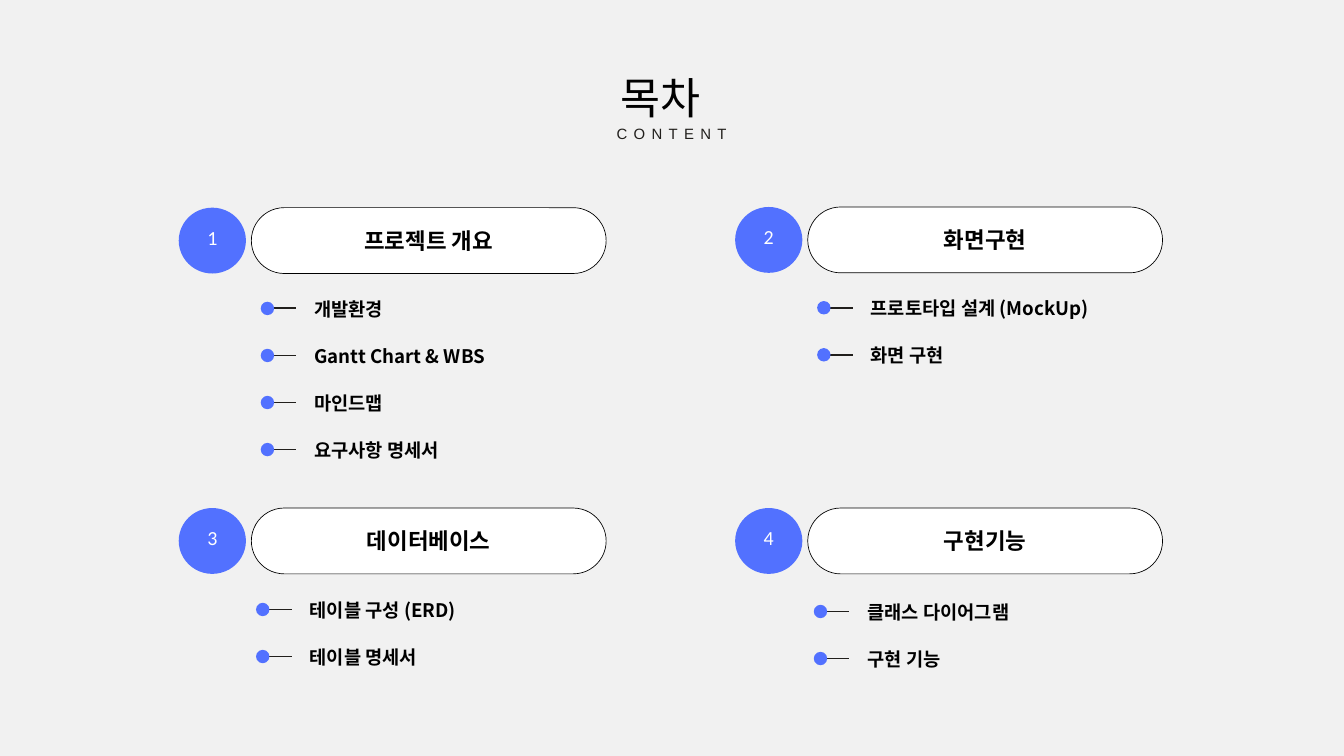
from lxml import etree
from pptx import Presentation
from pptx.dml.color import RGBColor
from pptx.enum.shapes import MSO_CONNECTOR as CONNECTOR, MSO_SHAPE as SHAPE
from pptx.enum.text import MSO_ANCHOR as ANCHOR, MSO_AUTO_SIZE as AUTO_SIZE, PP_ALIGN as ALIGN
from pptx.oxml.ns import qn
from pptx.util import Inches, Pt

COLORS = {
    "background": "F1F1F1",
    "accent": "5271FF",
    "white": "FFFFFF",
    "black": "000000",
    "ink": "211F1C",
}
KOREAN = "Noto Sans CJK KR"
ITEM_GAP = 0.7

# Number, heading, left, top, dot centre (x, first y), items
SECTIONS = [
    ("1", "프로젝트 개요", 2.66, 3.09, (3.98, 4.59),
     ["개발환경", "Gantt Chart & WBS", "마인드맵", "요구사항 명세서"]),
    ("2", "화면구현", 10.94, 3.08, (12.26, 4.58),
     ["프로토타입 설계 (MockUp)", "화면 구현"]),
    ("3", "데이터베이스", 2.66, 7.56, (3.91, 9.07),
     ["테이블 구성 (ERD)", "테이블 명세서"]),
    ("4", "구현기능", 10.94, 7.56, (12.21, 9.1),
     ["클래스 다이어그램", "구현 기능"]),
]


def rgb(name):
    return RGBColor.from_string(COLORS[name])


def write(shape, text, size, font=KOREAN, color="black", bold=False, align=ALIGN.LEFT,
          anchor=ANCHOR.MIDDLE, insets=(0.1, 0.05, 0.1, 0.05), line=None, tracking=None):
    """Put one formatted paragraph into a shape; insets are left, top, right, bottom."""
    frame = shape.text_frame
    frame.word_wrap = True
    frame.auto_size = AUTO_SIZE.NONE
    frame.vertical_anchor = anchor
    (frame.margin_left, frame.margin_top,
     frame.margin_right, frame.margin_bottom) = map(Inches, insets)
    paragraph = frame.paragraphs[0]
    paragraph.alignment = align
    if line:
        paragraph.line_spacing = Pt(line)
    run = paragraph.add_run()
    run.text = text
    run.font.size = Pt(size)
    run.font.bold = bold
    run.font.color.rgb = rgb(color)
    run.font.name = font
    properties = run.font._element
    etree.SubElement(properties, qn("a:ea")).set("typeface", font)
    if tracking:
        properties.set("spc", str(round(tracking * 100)))


class ContentsSlide:
    def __init__(self, presentation):
        self.slide = presentation.slides.add_slide(presentation.slide_layouts[5])
        self.shapes = self.slide.shapes
        fill = self.slide.background.fill
        fill.solid()
        fill.fore_color.rgb = rgb("background")

    def title(self, text, left, top, width, height):
        title = self.shapes.title
        title.left, title.top = Inches(left), Inches(top)
        title.width, title.height = Inches(width), Inches(height)
        write(title, text, 46.6, anchor=ANCHOR.TOP, insets=(0, 0, 0, 0), line=68.5)

    def text(self, text, left, top, width, height, size, **style):
        box = self.shapes.add_textbox(*map(Inches, (left, top, width, height)))
        write(box, text, size, **style)

    def shape(self, kind, left, top, width, height, fill, outline=None):
        shape = self.shapes.add_shape(kind, *map(Inches, (left, top, width, height)))
        shape.shadow.inherit = False
        shape.fill.solid()
        shape.fill.fore_color.rgb = rgb(fill)
        if outline:
            shape.line.color.rgb = rgb(outline)
            shape.line.width = Pt(0.75)
        else:
            shape.line.fill.background()
        return shape

    def line(self, left, right, y):
        line = self.shapes.add_connector(CONNECTOR.STRAIGHT, *map(Inches, (left, y, right, y)))
        line.line.color.rgb = rgb("ink")
        line.line.width = Pt(2)
        etree.SubElement(line._element.spPr, qn("a:effectLst"))

    def heading(self, number, text, left, top):
        pill = self.shape(SHAPE.ROUNDED_RECTANGLE, left + 1.08, top, 5.28, 0.98,
                          "white", outline="black")
        pill.adjustments[0] = 0.5
        write(pill, text, 24, bold=True, align=ALIGN.CENTER)
        badge = self.shape(SHAPE.OVAL, left, top, 1, 0.98, "accent")
        write(badge, number, 21.4, font="Calibri", color="white", align=ALIGN.CENTER,
              insets=(0, 0, 0, 0.17), line=31.4, tracking=3.1)

    def item(self, text, x, y):
        self.line(x, x + 0.43, y)
        self.shape(SHAPE.OVAL, x - 0.1, y - 0.1, 0.2, 0.2, "accent")
        self.text(text, x + 0.6, y - 0.29, 4.53, 0.59, 20, bold=True)


def main():
    presentation = Presentation()
    presentation.slide_width = Inches(20)
    presentation.slide_height = Inches(11.25)
    contents = ContentsSlide(presentation)

    # Title and subtitle
    contents.title("목차", 9.24, 0.88, 1.53, 0.92)
    contents.text("CONTENT", 7.8, 1.8, 4.39, 0.32, 16, font="Arial", color="ink",
                  align=ALIGN.CENTER, anchor=ANCHOR.TOP, insets=(0, 0, 0, 0),
                  line=23.5, tracking=6.8)

    # Four sections with their items
    for number, heading, left, top, (x, first_y), items in SECTIONS:
        contents.heading(number, heading, left, top)
        for index, item in enumerate(items):
            contents.item(item, x, first_y + index * ITEM_GAP)

    presentation.save("out.pptx")


if __name__ == "__main__":
    main()
